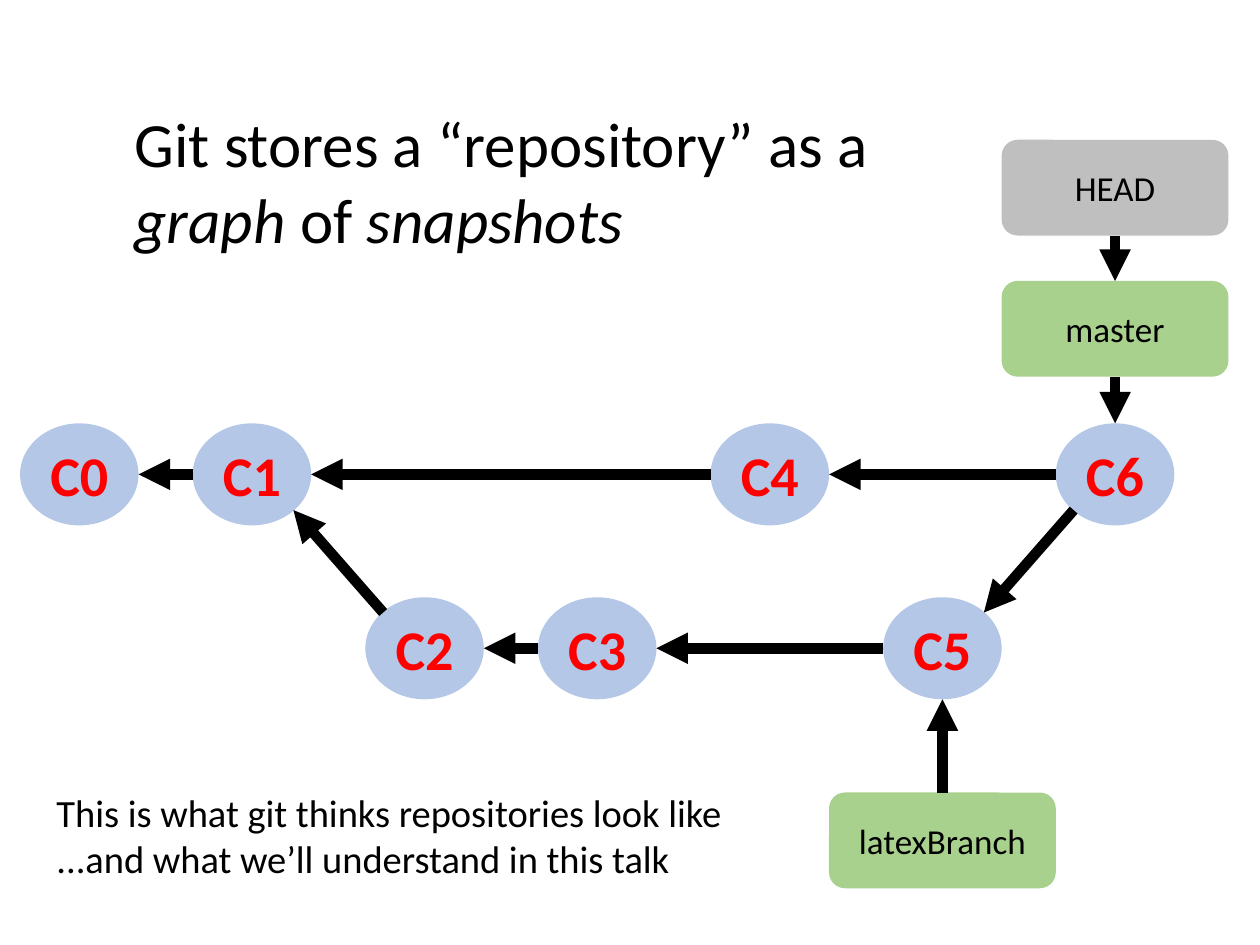
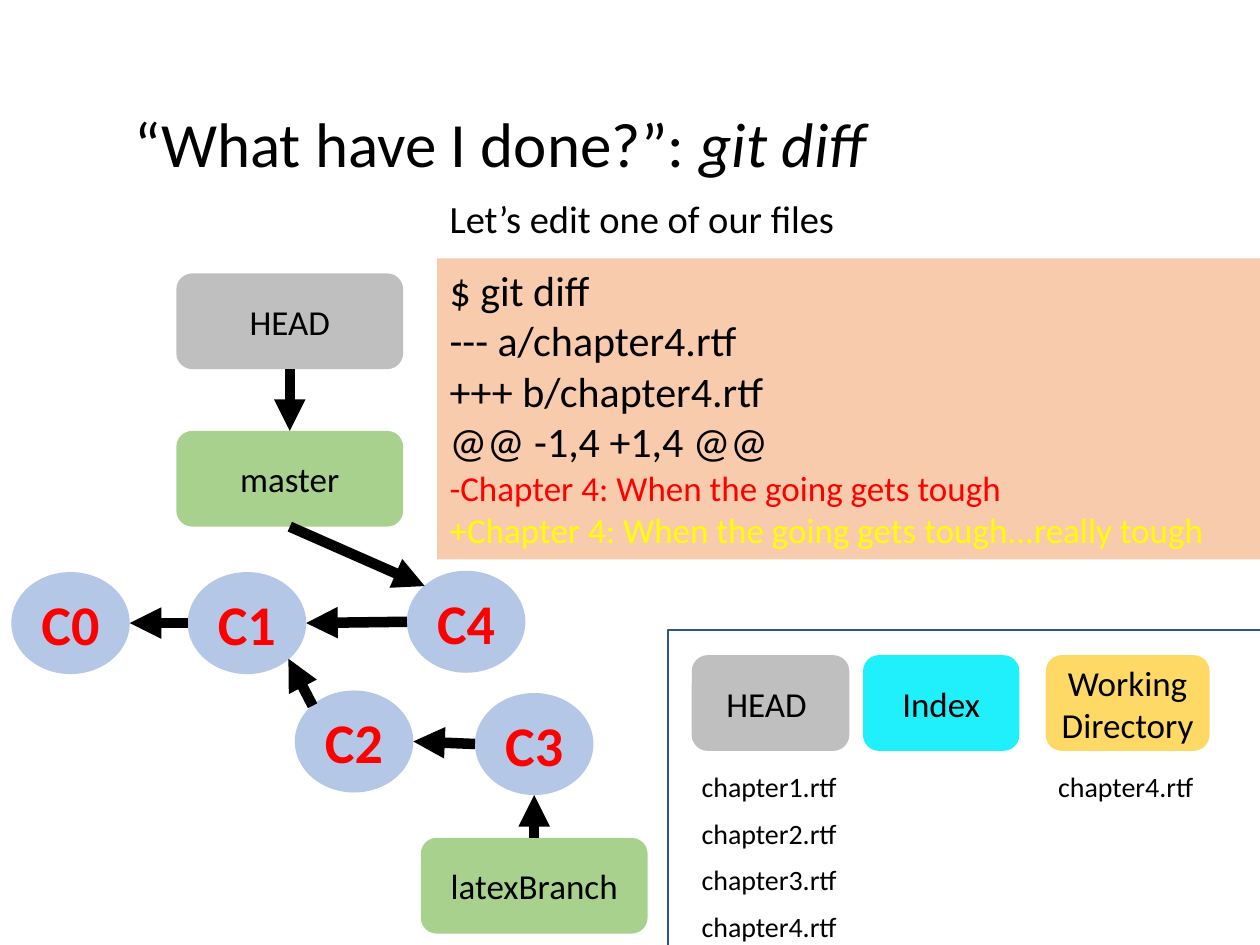
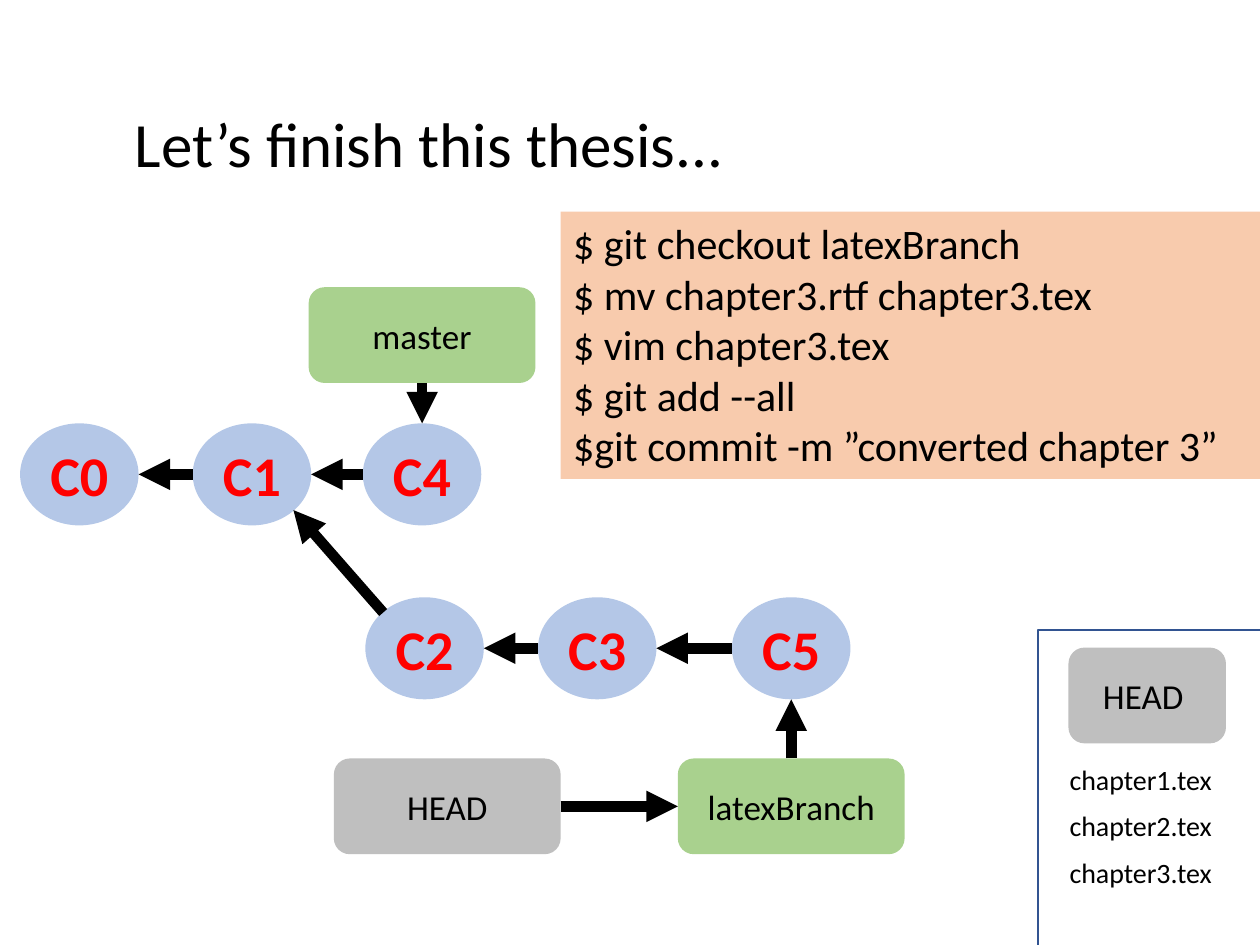
from lxml import etree
from pptx import Presentation
from pptx.dml.color import RGBColor
from pptx.enum.shapes import MSO_CONNECTOR, MSO_SHAPE
from pptx.enum.text import MSO_ANCHOR, PP_ALIGN
from pptx.oxml.ns import qn
from pptx.util import Inches, Pt

OVAL, ROUNDED, RECTANGLE = MSO_SHAPE.OVAL, MSO_SHAPE.ROUNDED_RECTANGLE, MSO_SHAPE.RECTANGLE
STRAIGHT = MSO_CONNECTOR.STRAIGHT
TOP, MIDDLE = MSO_ANCHOR.TOP, MSO_ANCHOR.MIDDLE
LEFT, CENTER = PP_ALIGN.LEFT, PP_ALIGN.CENTER

COLORS = {
    "ink": "000000", "commit": "B4C7E7", "red": "FF0000", "branch": "A9D18E",
    "head": "BFBFBF", "index": "20F0FC", "working": "FFD966", "code": "F8CBAD",
    "added": "FFFF00", "outline": "325491",
}
FONT = "Calibri"
TITLE = {"size": Pt(36)}
NOTE = {"size": Pt(22)}
CODE = {"size": Pt(24)}
DIFF_LINE = {"size": Pt(20)}
LABEL = {"size": Pt(20)}
FILE = {"size": Pt(16)}
COMMIT = {"size": Pt(32), "bold": True, "color": "red"}
ITALIC = {"italic": True}

COMMIT_WIDTH, COMMIT_HEIGHT = 0.94, 0.81
LABEL_WIDTH, LABEL_HEIGHT = 1.8, 0.76
FIRST_COLUMN, COLUMN_STEP = 0.16, 1.37
UPPER_ROW, LOWER_ROW = 3.36, 4.74
FILE_WIDTH, FILE_STEP = 1.5, 0.37
# Points on the edge of a shape, as fractions of its width and height.
EDGE_POINTS = {
    "left": (0, 0.5), "right": (1, 0.5), "top": (0.5, 0), "bottom": (0.5, 1),
    "upper left": (0.15, 0.15), "lower left": (0.15, 0.85), "upper right": (0.85, 0.15),
    "lower right": (0.85, 0.85),
}


def rgb(name):
    return RGBColor.from_string(COLORS[name])


def write(frame, lines, style, align=LEFT, anchor=TOP):
    """Fill a text frame; a line is a string or a list of (text, extra style)."""
    for name, value in {"word_wrap": True, "vertical_anchor": anchor}.items():
        setattr(frame, name, value)
    for number, line in enumerate(lines):
        para = frame.add_paragraph() if number else frame.paragraphs[0]
        para.alignment = align
        for text, extra in [(line, {})] if isinstance(line, str) else line:
            span = para.add_run()
            span.text = text
            values = {"name": FONT, "color": "ink", **style, **extra}
            span.font.color.rgb = rgb(values.pop("color"))
            for name, value in values.items():
                setattr(span.font, name, value)


def add_text(page, box, lines, style):
    area = page.shapes.add_textbox(*map(Inches, box))
    write(area.text_frame, lines, style)


def add_title(page, *lines):
    add_text(page, (0.97, 0.78, 8.65, 0.71 * len(lines)), lines, TITLE)


def add_filled(page, kind, box, color):
    shape = page.shapes.add_shape(kind, *map(Inches, box))
    shape.shadow.inherit = False
    shape.fill.solid()
    shape.fill.fore_color.rgb = rgb(color)
    shape.line.fill.background()
    return shape


def add_commits(page, places):
    """Draw commits from {name: (left, top)} and return their shapes by name."""
    commits = {}
    for name, (left, top) in places.items():
        box = (left, top, COMMIT_WIDTH, COMMIT_HEIGHT)
        commits[name] = add_filled(page, OVAL, box, "commit")
        write(commits[name].text_frame, [name], COMMIT, CENTER, MIDDLE)
    return commits


def add_label(page, text, left, top, color="branch", width=LABEL_WIDTH):
    label = add_filled(page, ROUNDED, (left, top, width, LABEL_HEIGHT), color)
    frame = label.text_frame
    frame.margin_left = frame.margin_right = Inches(0.05)
    write(frame, [text], LABEL, CENTER, MIDDLE)
    return label


def edge_point(shape, side):
    across, down = EDGE_POINTS[side]
    return int(shape.left + across * shape.width), int(shape.top + down * shape.height)


def add_arrows(page, shapes, links):
    for start, start_side, end, end_side in links:
        arrow = page.shapes.add_connector(
            STRAIGHT, *edge_point(shapes[start], start_side), *edge_point(shapes[end], end_side))
        arrow.line.width = Pt(6)
        arrow.line.color.rgb = rgb("ink")
        etree.SubElement(arrow.line._get_or_add_ln(), qn("a:tailEnd"), type="triangle")
        etree.SubElement(arrow._element.spPr, qn("a:effectLst"))


def add_code(page, box, lines):
    panel = add_filled(page, RECTANGLE, box, "code")
    write(panel.text_frame, lines, CODE)


def add_file_panel(page, box, label_top, columns):
    """Outline a panel of labelled file lists: (label, color, left, width, list left, files)."""
    left, top = box[:2]
    for text, color, label_left, width, list_left, files in columns:
        add_label(page, text, left + label_left, top + label_top, color, width)
        for row, name in enumerate(files):
            file_top = top + label_top + 0.86 + row * FILE_STEP
            add_text(page, (left + list_left, file_top, FILE_WIDTH, FILE_STEP), [name], FILE)
    outline = page.shapes.add_shape(RECTANGLE, *map(Inches, box))
    outline.shadow.inherit = False
    outline.fill.background()
    outline.line.color.rgb = rgb("outline")
    outline.line.width = Pt(1)


def grid_place(column, row):
    return FIRST_COLUMN + column * COLUMN_STEP, row


def build_graph_page(page):
    add_title(page, "Git stores a “repository” as a",
              [("graph", ITALIC), (" of ", {}), ("snapshots", ITALIC)])
    add_text(page, (0.35, 6.21, 6.23, 0.84),
             ["This is what git thinks repositories look like",
              "...and what we’ll understand in this talk"], NOTE)
    rows = [UPPER_ROW, UPPER_ROW, LOWER_ROW, LOWER_ROW, UPPER_ROW, LOWER_ROW, UPPER_ROW]
    shapes = add_commits(
        page, {f"C{column}": grid_place(column, row) for column, row in enumerate(rows)})
    shapes["latex"] = add_label(page, "latexBranch", 6.58, 6.29)
    shapes["master"] = add_label(page, "master", 7.95, 2.23)
    shapes["head"] = add_label(page, "HEAD", 7.95, 1.11, "head")
    add_arrows(page, shapes, [
        ("C1", "left", "C0", "right"),
        ("C2", "upper left", "C1", "lower right"),
        ("C3", "left", "C2", "right"),
        ("C4", "left", "C1", "right"),
        ("C5", "left", "C3", "right"),
        ("C6", "left", "C4", "right"),
        ("C6", "lower left", "C5", "upper right"),
        ("latex", "top", "C5", "bottom"),
        ("master", "bottom", "C6", "top"),
        ("head", "bottom", "master", "top"),
    ])


def build_diff_page(page):
    add_code(page, (3.47, 2.05, 6.53, 2.39), [
        "$ git diff", "--- a/chapter4.rtf", "+++ b/chapter4.rtf", "@@ -1,4 +1,4 @@",
        [("-Chapter 4: When the going gets tough", {**DIFF_LINE, "color": "red"})],
        [("+Chapter 4: When the going gets tough...really tough",
          {**DIFF_LINE, "color": "added"})],
    ])
    add_title(page, [("“What have I done?”: ", {}), ("git diff", ITALIC)])
    add_text(page, (3.47, 1.5, 4.98, 0.47), ["Let’s edit one of our files"], NOTE)
    shapes = add_commits(page, {
        "C0": (0.09, 4.54), "C1": (1.49, 4.54), "C4": (3.23, 4.53),
        "C2": (2.34, 5.48), "C3": (3.77, 5.5),
    })
    shapes["master"] = add_label(page, "master", 1.4, 3.42)
    shapes["head"] = add_label(page, "HEAD", 1.4, 2.17, "head")
    shapes["latex"] = add_label(page, "latexBranch", 3.34, 6.65)
    add_arrows(page, shapes, [
        ("head", "bottom", "master", "top"),
        ("master", "bottom", "C4", "upper left"),
        ("C1", "left", "C0", "right"),
        ("C4", "left", "C1", "right"),
        ("C2", "upper left", "C1", "lower right"),
        ("C3", "left", "C2", "right"),
        ("latex", "top", "C3", "bottom"),
    ])
    chapters = [f"chapter{number}.rtf" for number in range(1, 5)]
    add_file_panel(page, (5.3, 5, 5.02, 2.74), 0.2, [
        ("HEAD ", "head", 0.19, 1.25, 0.17, chapters),
        ("Index", "index", 1.55, 1.24, 1.55, []),
        ("Working Directory", "working", 3, 1.3, 3, chapters[-1:]),
    ])


def build_thesis_page(page):
    add_code(page, (4.45, 1.68, 5.71, 2.12), [
        "$ git checkout latexBranch", "$ mv chapter3.rtf chapter3.tex", "$ vim chapter3.tex",
        "$ git add --all", "$git commit -m ”converted chapter 3”",
    ])
    add_title(page, "Let’s finish this thesis...")
    shapes = add_commits(page, {
        "C0": grid_place(0, UPPER_ROW), "C1": grid_place(1, UPPER_ROW), "C4": (2.88, UPPER_ROW),
        "C2": grid_place(2, LOWER_ROW), "C3": grid_place(3, LOWER_ROW), "C5": (5.81, LOWER_ROW),
    })
    shapes["latex"] = add_label(page, "latexBranch", 5.38, 6.02)
    shapes["master"] = add_label(page, "master", 2.45, 2.28)
    shapes["head"] = add_label(page, "HEAD", 2.65, 6.02, "head")
    add_arrows(page, shapes, [
        ("C1", "left", "C0", "right"),
        ("C4", "left", "C1", "right"),
        ("C2", "upper left", "C1", "lower right"),
        ("C3", "left", "C2", "right"),
        ("C5", "left", "C3", "right"),
        ("latex", "top", "C5", "bottom"),
        ("master", "bottom", "C4", "top"),
        ("head", "right", "latex", "left"),
    ])
    chapters = [f"chapter{number}.tex" for number in range(1, 4)]
    add_file_panel(page, (8.24, 5, 2.08, 2.74), 0.14,
                   [("HEAD ", "head", 0.24, 1.25, 0.15, chapters)])


def main():
    deck = Presentation()
    deck.slide_width, deck.slide_height = Inches(10), Inches(7.5)
    for build_page in (build_graph_page, build_diff_page, build_thesis_page):
        build_page(deck.slides.add_slide(deck.slide_layouts[6]))
    deck.save("out.pptx")


if __name__ == "__main__":
    main()
